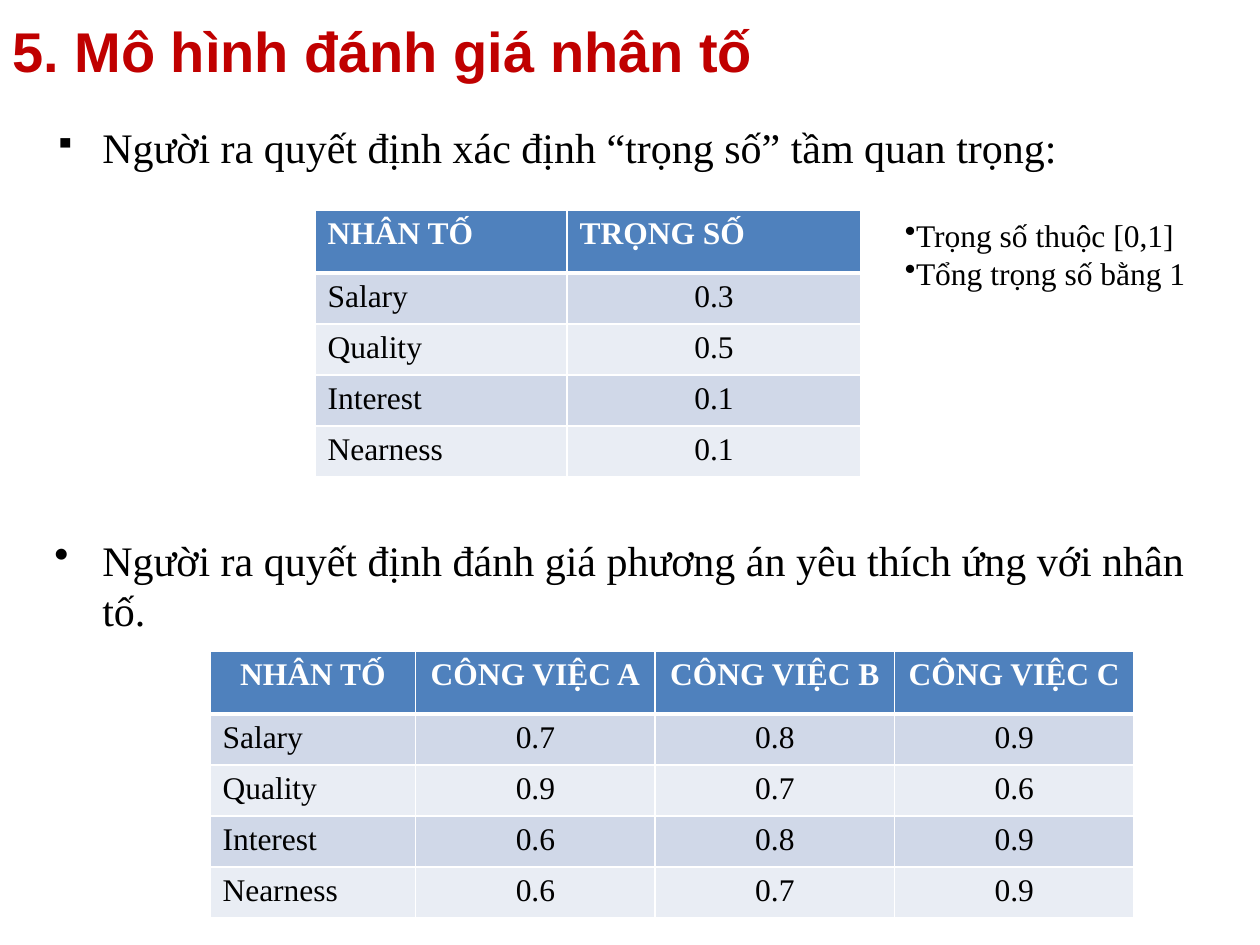
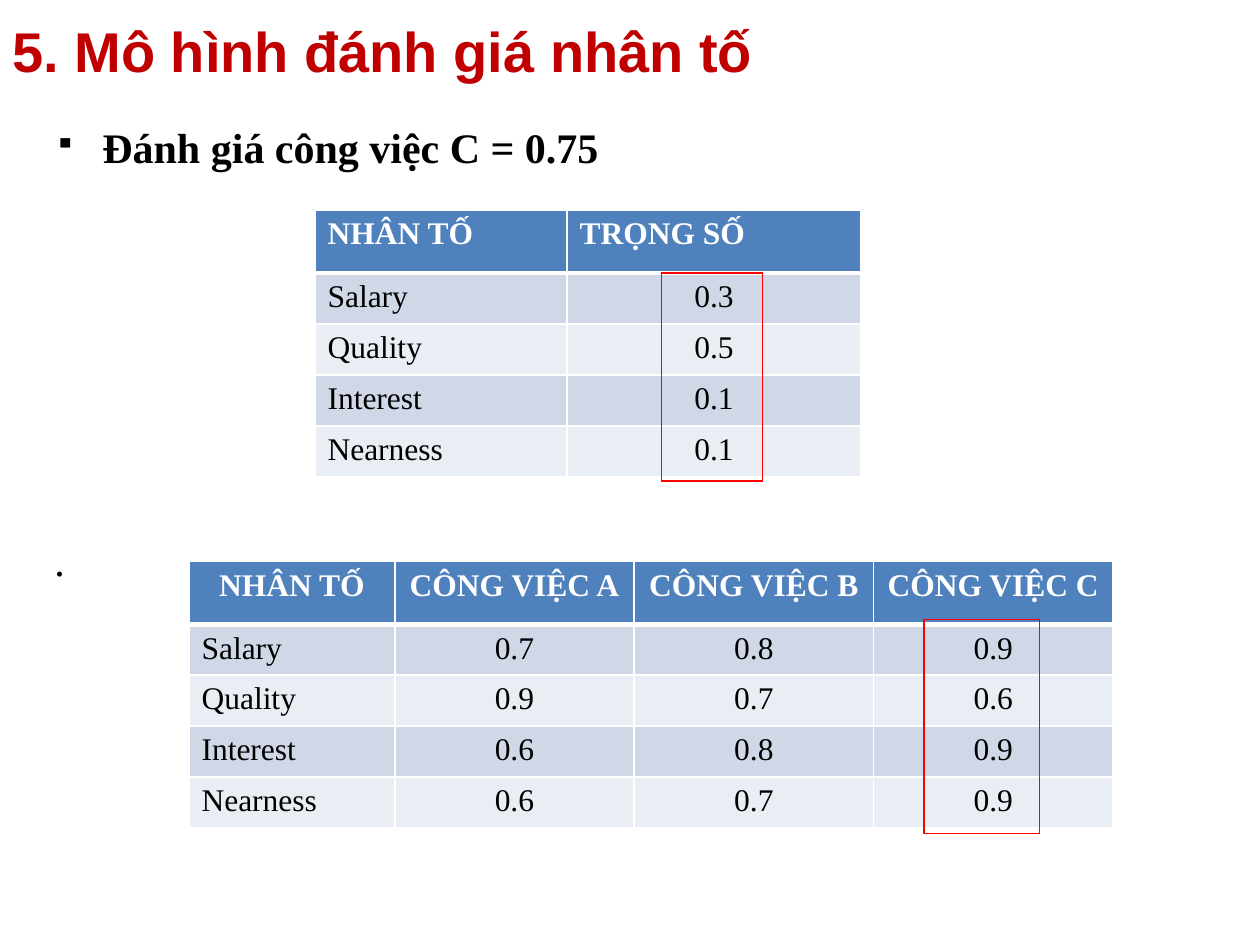
from lxml import etree
from pptx import Presentation
from pptx.dml.color import RGBColor
from pptx.enum.text import MSO_ANCHOR, PP_ALIGN
from pptx.oxml.ns import qn
from pptx.util import Emu, Inches, Pt

LEFT, CENTER = PP_ALIGN.LEFT, PP_ALIGN.CENTER
TOP, BOTTOM = MSO_ANCHOR.TOP, MSO_ANCHOR.BOTTOM
COLORS = {"title": "C00000", "ink": "000000", "white": "FFFFFF", "header": "4F81BD",
          "band": "D0D8E8", "pale": "E9EDF4", "mark": "FF0000"}
SERIF, SANS = "Times New Roman", "Arial"
COLUMNS, ROWS = 120, 90
HEADER_ROW, BODY_ROW = 6, 4.86

TITLE = "5. Mô hình đánh giá nhân tố"
WEIGHTS = [["NHÂN TỐ", "TRỌNG SỐ"],
           ["Salary", "0.3"], ["Quality", "0.5"], ["Interest", "0.1"], ["Nearness", "0.1"]]
RATINGS = [["NHÂN TỐ", "CÔNG VIỆC A", "CÔNG VIỆC B", "CÔNG VIỆC C"],
           ["Salary", "0.7", "0.8", "0.9"], ["Quality", "0.9", "0.7", "0.6"],
           ["Interest", "0.6", "0.8", "0.9"], ["Nearness", "0.6", "0.7", "0.9"]]


def rgb(name):
    """Return a named colour."""
    return RGBColor.from_string(COLORS[name])


def write(p, text, size=18, font=SERIF, color="ink", bold=False, align=LEFT,
          before=0, bullet=None, bullet_size=100, indent=0):
    """Fill a paragraph with one formatted run."""
    p.alignment, p.space_before = align, Pt(before)
    r = p.add_run()
    r.text = text
    r.font.size, r.font.name, r.font.bold = Pt(size), font, bold
    r.font.color.rgb = rgb(color)
    if bullet:
        props = p._p.get_or_add_pPr()
        props.set("marL", str(Inches(indent)))
        props.set("indent", str(Inches(-indent)))
        etree.SubElement(props, qn("a:buSzPct")).set("val", str(bullet_size * 1000))
        etree.SubElement(props, qn("a:buChar")).set("char", bullet)


def set_borders(cell, color, top=1, bottom=1):
    """Draw the four borders of a cell."""
    props = cell._tc.get_or_add_tcPr()
    widths = {"lnL": 1, "lnR": 1, "lnT": top, "lnB": bottom}
    for i, (side, width) in enumerate(widths.items()):
        line = etree.Element(qn(f"a:{side}"), w=str(Pt(width)))
        fill = etree.SubElement(line, qn("a:solidFill"))
        etree.SubElement(fill, qn("a:srgbClr")).set("val", COLORS[color])
        props.insert(i, line)


class Deck:
    """Hold the presentation, its grid and the current slide."""

    def __init__(self):
        """Start a 10 by 7.5 inch presentation."""
        self.prs = Presentation()
        self.prs.slide_width, self.prs.slide_height = Inches(10), Inches(7.5)
        self.s = None

    def x(self, columns):
        """Turn grid columns into a length."""
        return Emu(round(self.prs.slide_width * columns / COLUMNS))

    def y(self, rows):
        """Turn grid rows into a length."""
        return Emu(round(self.prs.slide_height * rows / ROWS))

    def box(self, left, top, width, height):
        """Turn a grid box into lengths."""
        return self.x(left), self.y(top), self.x(width), self.y(height)

    def slide(self, title):
        """Add a slide with the shared title."""
        self.s = self.prs.slides.add_slide(self.prs.slide_layouts[6])
        self.text((0, 0, 108, 8.6), [(title, {"size": 32, "font": SANS, "color": "title",
                                             "bold": True})], anchor=BOTTOM)

    def text(self, box, paragraphs, anchor=TOP):
        """Add a text box of (text, format) paragraphs."""
        tf = self.s.shapes.add_textbox(*self.box(*box)).text_frame
        tf.word_wrap, tf.vertical_anchor = True, anchor
        for i, (text, style) in enumerate(paragraphs):
            write(tf.add_paragraph() if i else tf.paragraphs[0], text, **style)

    def body(self, first, second, bold=False, bullet=None):
        """Add the lead point and the point below the first table."""
        self.text((4, 11, 111, 59.4), [
            (first, {"size": 24, "bold": bold, "before": 4.8, "bullet": "▪",
                     "bullet_size": 70, "indent": 0.38}),
            (second, {"size": 24, "before": 207, "bullet": bullet, "indent": 0.38})])

    def grid(self, left, top, widths, heights):
        """Add a bare table with the given column widths and row heights."""
        box = self.box(left, top, sum(widths), sum(heights))
        table = self.s.shapes.add_table(len(heights), len(widths), *box).table
        table.first_row = table.horz_banding = False
        for column, width in zip(table.columns, widths):
            column.width = self.x(width)
        for row, height in zip(table.rows, heights):
            row.height = self.y(height)
        return table

    def table(self, left, top, widths, data, header_align=LEFT, first_row=BODY_ROW):
        """Add a banded table of factors and values."""
        heights = [HEADER_ROW, first_row] + [BODY_ROW] * (len(data) - 2)
        table = self.grid(left, top, widths, heights)
        for i, values in enumerate(data):
            header = i == 0
            fill = "header" if header else "band" if i % 2 else "pale"
            for j, value in enumerate(values):
                cell = table.cell(i, j)
                cell.fill.solid()
                cell.fill.fore_color.rgb = rgb(fill)
                set_borders(cell, "white", top=3 if i == 1 else 1, bottom=3 if header else 1)
                write(cell.text_frame.paragraphs[0], value, bold=header,
                      color="white" if header else "ink",
                      align=header_align if header else CENTER if j else LEFT)

    def weights(self):
        """Add the table of factor weights."""
        self.table(30, 20, [24, 28], WEIGHTS)

    def ratings(self, left, top, first_row=BODY_ROW):
        """Add the table of job ratings."""
        self.table(left, top, [19.6] + [22.8] * 3, RATINGS, CENTER, first_row)

    def frame(self, left, top, width, height):
        """Add a red one-cell frame around a column of values."""
        cell = self.grid(left, top, [width], [height]).cell(0, 0)
        cell.fill.background()
        set_borders(cell, "mark")


def main():
    """Build both slides and save them."""
    deck = Deck()

    deck.slide(TITLE)
    deck.body("Người ra quyết định xác định “trọng số” tầm quan trọng:",
              "Người ra quyết định đánh giá phương án yêu thích ứng với nhân tố.", bullet="•")
    deck.weights()
    deck.text((85, 20, 30, 8.5), [(note, {"bullet": "•"}) for note in
                                  ("Trọng số thuộc [0,1]", "Tổng trọng số bằng 1")])
    deck.ratings(20, 62)

    deck.slide(TITLE)
    deck.body("Đánh giá công việc C = 0.75", ".", bold=True)
    deck.weights()
    deck.ratings(18, 53.5, first_row=4.4)
    deck.frame(63, 26, 9.6, 19.8)
    deck.frame(88, 59, 11, 20.4)

    deck.prs.save("out.pptx")


if __name__ == "__main__":
    main()
